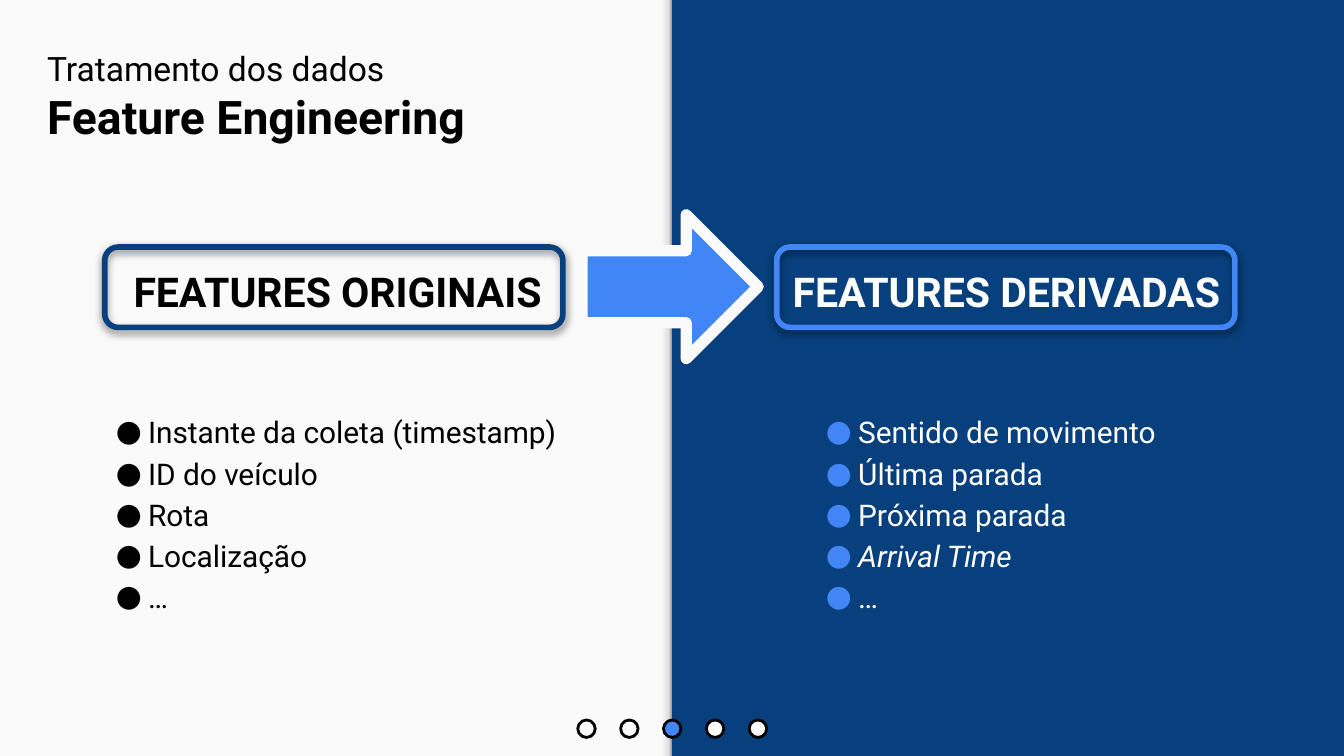
from dataclasses import dataclass

import lxml.etree
import pptx
import pptx.dml.color
import pptx.enum.shapes
import pptx.enum.text
import pptx.oxml
import pptx.oxml.ns
import pptx.util

Cm = pptx.util.Cm
Pt = pptx.util.Pt
SHAPE = pptx.enum.shapes.MSO_SHAPE
ALIGN = pptx.enum.text.PP_ALIGN
ANCHOR = pptx.enum.text.MSO_ANCHOR
qn = pptx.oxml.ns.qn

COLORS = {
    "navy": "08407D",
    "blue": "4285F4",
    "paper": "FAFAFA",
    "white": "FFFFFF",
    "black": "000000",
}
FONT = "Roboto"
NS = pptx.oxml.ns.nsdecls("a")
EDGE_STOPS = [(0, "F9F9F9"), (36, "F9F9F9"), (80, "DEDEDE"), (100, "999999")]


@dataclass
class Column:
    left: float
    frame_left: float
    indent: float
    heading: str
    items: list[str]
    text: str
    bullet: str
    frame: str
    italic: str = ""


COLUMNS = [
    Column(0.64, 1.98, 1.91, "FEATURES ORIGINAIS",
           ["Instante da coleta (timestamp)", "ID do veículo", "Rota", "Localização", "…"],
           "black", "black", "navy"),
    Column(13.28, 14.68, 2.69, "FEATURES DERIVADAS",
           ["Sentido de movimento", "Última parada", "Próxima parada", "Arrival Time", "…"],
           "white", "blue", "blue", italic="Arrival Time"),
]


def rgb(name: str):
    return pptx.dml.color.RGBColor.from_string(COLORS[name])


def set_format(obj, values: dict) -> None:
    for name, value in values.items():
        setattr(obj, name, value)


def add_shape(s, kind, box: tuple, fill: str = "", line: str = "", width: float = 0):
    sp = s.shapes.add_shape(kind, *map(Cm, box))
    sp.shadow.inherit = False
    if fill:
        sp.fill.solid()
        sp.fill.fore_color.rgb = rgb(fill)
    else:
        sp.fill.background()
    if line:
        sp.line.color.rgb = rgb(line)
        sp.line.width = Pt(width)
        lxml.etree.SubElement(sp.line._get_or_add_ln(), qn("a:round"))
    else:
        sp.line.fill.background()
    return sp


def add_text_box(s, box: tuple, anchor):
    tf = s.shapes.add_textbox(*map(Cm, box)).text_frame
    set_format(tf, {"word_wrap": True, "vertical_anchor": anchor})
    set_format(tf, dict.fromkeys(
        ("margin_left", "margin_right", "margin_top", "margin_bottom"), Cm(0.25)))
    return tf


def add_run(p, text: str, size: float, color: str, bold=False, italic=False) -> None:
    r = p.add_run()
    r.text = text
    set_format(r.font, {"name": FONT, "size": Pt(size), "bold": bold, "italic": italic})
    r.font.color.rgb = rgb(color)


def add_bullet(p, color: str, indent: float) -> None:
    pPr = p._p.get_or_add_pPr()
    pPr.set("marL", str(Cm(indent)))
    pPr.set("indent", str(Cm(-0.61)))
    for xml in (
        f'<a:buClr {NS}><a:srgbClr val="{COLORS[color]}"/></a:buClr>',
        f'<a:buFont {NS} typeface="{FONT}"/>',
        f'<a:buChar {NS} char="●"/>',
    ):
        pPr.append(pptx.oxml.parse_xml(xml))


def add_edge_shade(s) -> None:
    sp = add_shape(s, SHAPE.RECTANGLE, (12.4, 0, 0.3, 14.29))
    stops = "".join(f'<a:gs pos="{pos * 1000}"><a:srgbClr val="{color}"/></a:gs>'
                    for pos, color in EDGE_STOPS)
    grad = pptx.oxml.parse_xml(
        f'<a:gradFill {NS}><a:gsLst>{stops}</a:gsLst><a:lin ang="0" scaled="0"/></a:gradFill>')
    spPr = sp._element.spPr
    spPr.replace(spPr.find(qn("a:noFill")), grad)


def add_column_text(s, col: Column) -> None:
    tf = add_text_box(s, (col.left, 3.66, 11.48, 9.19), ANCHOR.MIDDLE)
    p = tf.paragraphs[0]
    set_format(p, {"alignment": ALIGN.CENTER, "line_spacing": 1.15})
    add_run(p, col.heading, 22, col.text, bold=True)
    for i, item in enumerate(col.items):
        p = tf.add_paragraph()
        set_format(p, {"line_spacing": 1.15, "space_before": Pt(0 if i else 50)})
        add_bullet(p, col.bullet, col.indent)
        add_run(p, item, 16, col.text, italic=item == col.italic)


def add_frame(s, col: Column) -> None:
    sp = add_shape(s, SHAPE.ROUNDED_RECTANGLE, (col.frame_left, 4.67, 8.66, 1.52),
                   line=col.frame, width=3)
    effects = sp._element.spPr.find(qn("a:effectLst"))
    effects.append(pptx.oxml.parse_xml(
        f'<a:outerShdw {NS} blurRad="{Pt(4.5)}" dist="{Pt(1.5)}" dir="5400000" '
        f'algn="bl" rotWithShape="0"><a:srgbClr val="{COLORS["black"]}">'
        '<a:alpha val="50000"/></a:srgbClr></a:outerShdw>'))


def main() -> None:
    prs = pptx.Presentation()
    set_format(prs, {"slide_width": Cm(25.4), "slide_height": Cm(14.29)})
    s = prs.slides.add_slide(prs.slide_layouts[6])

    # Split background
    s.background.fill.solid()
    s.background.fill.fore_color.rgb = rgb("navy")
    add_shape(s, SHAPE.RECTANGLE, (0, 0, 12.7, 14.29), "paper")
    add_edge_shade(s)

    # Title
    tf = add_text_box(s, (0.64, 0.66, 11.48, 2.29), ANCHOR.TOP)
    add_run(tf.paragraphs[0], "Tratamento dos dados", 18, "black")
    add_run(tf.add_paragraph(), "Feature Engineering", 24.8, "black", bold=True)

    # Columns, with the arrow between them
    for col in COLUMNS:
        add_column_text(s, col)
    add_shape(s, SHAPE.RIGHT_ARROW, (11, 4.06, 3.33, 2.72), "blue", "paper", 6)
    for col in COLUMNS:
        add_frame(s, col)

    # Progress dots
    for i in range(5):
        add_shape(s, SHAPE.OVAL, (10.92 + 0.81 * i, 13.61, 0.33, 0.33),
                  "blue" if i == 2 else "white", "black", 1.5)

    prs.save("out.pptx")


if __name__ == "__main__":
    main()
